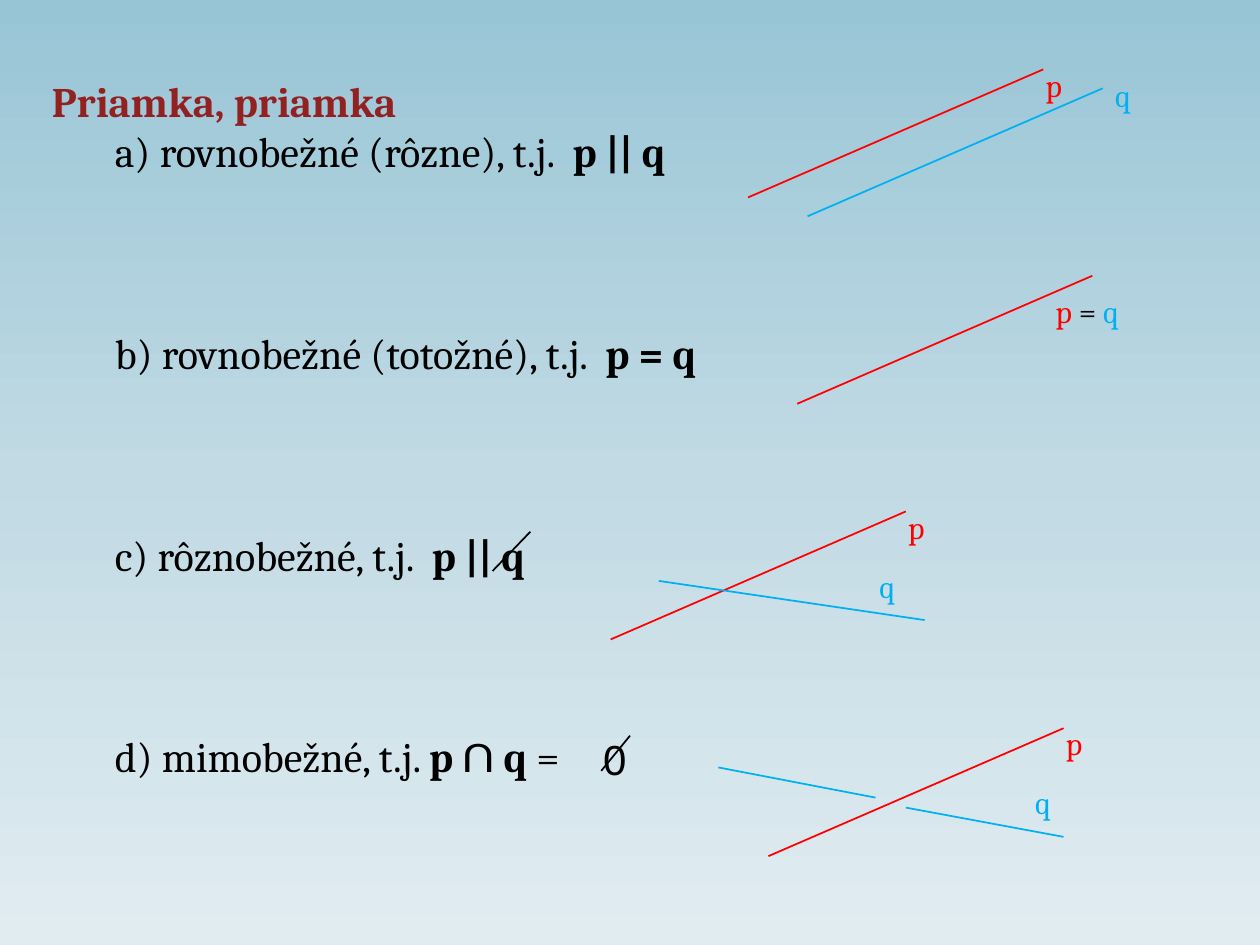
from copy import deepcopy

from lxml import etree
from pptx import Presentation
from pptx.dml.color import RGBColor
from pptx.enum.shapes import MSO_CONNECTOR
from pptx.enum.text import MSO_ANCHOR, MSO_AUTO_SIZE, PP_ALIGN
from pptx.oxml.ns import qn
from pptx.util import Cm, Pt

STRAIGHT = MSO_CONNECTOR.STRAIGHT
TOP = MSO_ANCHOR.TOP
LEFT = PP_ALIGN.LEFT
FIXED = MSO_AUTO_SIZE.NONE

COLORS = {
    "sky": "98C5D6", "mist": "C1DAE4", "pale": "E1ECF1",
    "title": "922222", "text": "000000", "p": "FF0000", "q": "00B0F0",
}
STOPS = [(0, "sky"), (0.5, "mist"), (1, "pale")]
CASES = [
    [("a) rovnobežné (rôzne), t.j.  ", False), ("p || q", True)],
    [("b) rovnobežné (totožné), t.j.  ", False), ("p = q", True)],
    [("c) rôznobežné, t.j.  ", False), ("p || q", True)],
    [("d) mimobežné, t.j. ", False), ("p ∩ q ", True), ("=", False)],
]
RUN, RISE = 5.95, 2.58
P_TIPS = [(21.03, 1.4), (22.02, 5.56), (18.26, 10.31), (21.44, 14.68)]
Q_TIP = (22.23, 1.78)
Q_SEGMENTS = [
    ((13.28, 11.71), (18.64, 12.5)),
    ((14.48, 15.47), (17.65, 16.08)),
    ((18.26, 16.28), (21.44, 16.87)),
]
Q_LABELS = [(22.23, 1.4), (17.48, 11.3), (20.62, 15.67)]


def rgb(name):
    """Return the named colour."""
    return RGBColor.from_string(COLORS[name])


def set_background(s):
    """Fill the slide with a vertical three-stop gradient."""
    fill = s.background.fill
    fill.gradient()
    fill.gradient_angle = 270
    stops = s._element.find(".//" + qn("a:gsLst"))
    stops.append(deepcopy(stops[-1]))
    for stop, (pos, color) in zip(fill.gradient_stops, STOPS):
        stop.position = pos
        stop.color.rgb = rgb(color)


def add_run(p, text, size, color="text", bold=False, font="Cambria"):
    """Append a formatted run to a paragraph."""
    r = p.add_run()
    r.text = text
    r.font.name = font
    r.font.size = Pt(size)
    r.font.bold = bold
    r.font.color.rgb = rgb(color)


def place(sp, x, y, w, h):
    """Position a shape and return its top-anchored wrapping text frame."""
    sp.left, sp.top, sp.width, sp.height = Cm(x), Cm(y), Cm(w), Cm(h)
    tf = sp.text_frame
    tf.word_wrap = True
    tf.auto_size = FIXED
    tf.vertical_anchor = TOP
    return tf


def add_title(s):
    """Fill the title placeholder."""
    p = place(s.shapes.title, 0.79, 1.4, 24, 1.27).paragraphs[0]
    p.alignment = LEFT
    add_run(p, "Priamka, priamka", 24, "title", True)


def add_cases(s):
    """List the four relative positions in the body placeholder."""
    tf = place(s.placeholders[1], 0.79, 2.41, 24, 14.63)
    for i, runs in enumerate(CASES):
        p = tf.add_paragraph() if i else tf.paragraphs[0]
        pPr = p._p.get_or_add_pPr()
        pPr.set("marL", str(Cm(1.27)))
        pPr.set("indent", "0")
        etree.SubElement(pPr, qn("a:buNone"))
        p.space_before = Pt(86.4 if i else 0)
        for text, bold in runs:
            add_run(p, text, 24, bold=bold)


def add_line(shapes, start, end, color):
    """Draw a thin straight line."""
    ln = shapes.add_connector(STRAIGHT, *map(Cm, start + end))
    ln.line.color.rgb = rgb(color)
    ln.line.width = Pt(1)
    etree.SubElement(ln._element.spPr, qn("a:effectLst"))


def add_rising_line(shapes, tip, color):
    """Draw a line of the common slope that ends at its upper tip."""
    x, y = tip
    add_line(shapes, (x - RUN, y + RISE), tip, color)


def add_label(shapes, x, y, runs, w=1.19, h=1.02, size=18, font="Cambria"):
    """Add a text box of coloured runs."""
    sp = shapes.add_textbox(Cm(x), Cm(y), Cm(w), Cm(h))
    p = place(sp, x, y, w, h).paragraphs[0]
    for text, color in runs:
        add_run(p, text, size, color, font=font)


def add_empty_set(s):
    """Group a zero with a stroke through it."""
    shapes = s.shapes.add_group_shape().shapes
    add_label(shapes, 11.91, 14.66, [("0", "text")], 0.79, 1.27, 24, "Arial")
    add_line(shapes, (12.7, 14.83), (12.12, 15.54), "text")


def add_drawings(s):
    """Draw the line pairs with their labels."""
    for i, (x, y) in enumerate(P_TIPS):
        add_rising_line(s.shapes, (x, y), "p")
        if i != 1:
            add_label(s.shapes, x - 0.2, y - 0.2, [("p", "p")])
    add_label(s.shapes, 21.03, 5.77,
              [("p ", "p"), ("= ", "text"), ("q", "q")], w=2.18)
    add_rising_line(s.shapes, Q_TIP, "q")
    for start, end in Q_SEGMENTS:
        add_line(s.shapes, start, end, "q")
    for x, y in Q_LABELS:
        add_label(s.shapes, x, y, [("q", "q")])
    add_line(s.shapes, (9.93, 11.51), (10.69, 10.72), "text")


def main():
    """Build and save the slide."""
    prs = Presentation()
    prs.slide_width, prs.slide_height = Cm(25.4), Cm(19.05)
    s = prs.slides.add_slide(prs.slide_layouts[1])
    set_background(s)
    add_title(s)
    add_cases(s)
    add_empty_set(s)
    add_drawings(s)
    prs.save("out.pptx")


if __name__ == "__main__":
    main()
